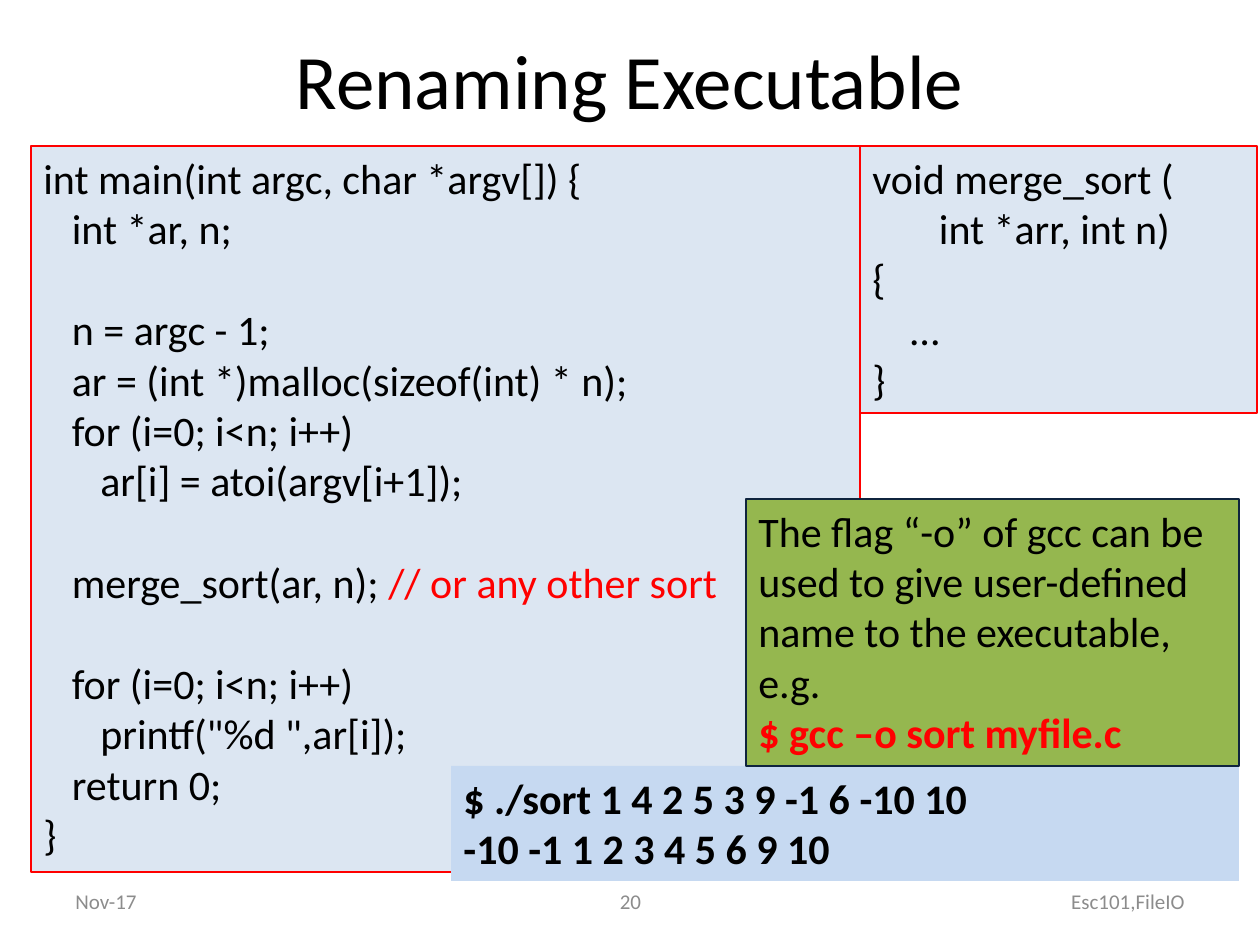
from dataclasses import dataclass

from pptx import Presentation, util as u
from pptx.dml.color import RGBColor
from pptx.enum import shapes, text

# Content: each line is a list of (text, colour role) runs
TITLE = "Renaming Executable"
MAIN_CODE = [
    [("int main(int argc, char *argv[]) {", "ink")],
    [("   int *ar, n;", "ink")],
    [],
    [("   n = argc - 1;", "ink")],
    [("   ar = (int *)malloc(sizeof(int) * n);", "ink")],
    [("   for (i=0; i<n; i++)", "ink")],
    [("      ar[i] = atoi(argv[i+1]);", "ink")],
    [],
    [("   merge_sort(ar, n); ", "ink"), ("// or any other sort", "red")],
    [],
    [("   for (i=0; i<n; i++)", "ink")],
    [('      printf("%d ",ar[i]);', "ink")],
    [("   return 0;", "ink")],
    [("}", "ink")],
]
SORT_CODE = [[(line, "ink")] for line in (
    "void merge_sort (", "       int *arr, int n)", "{", "    …", "}")]
FLAG_NOTE = [
    [("The flag “-o” of gcc can be used to give user-defined name "
      "to the executable, e.g.", "ink")],
    [("$ gcc –o sort myfile.c", "red")],
]
SORT_RUN = [[(line, "ink")] for line in (
    "$ ./sort 1 4 2 5 3 9 -1 6 -10 10", "-10 -1 1 2 3 4 5 6 9 10")]

# Panels, back to front: lines, (left, top, width, height), fill, outline, bold lines
PANELS = [
    (MAIN_CODE, (31, 146, 829, 726), "code", "red", ()),
    (SORT_RUN, (451, 766, 788, 115), "run", None, (0, 1)),
    (FLAG_NOTE, (746, 499, 493, 267), "note", "navy", (1,)),
    (SORT_CODE, (860, 146, 397, 267), "code", "red", ()),
]
FOOTERS = [
    ("Nov-17", (63, 876, 294, 50), text.PP_ALIGN.LEFT),
    ("20", (431, 876, 399, 50), text.PP_ALIGN.CENTER),
    ("Esc101,FileIO", (903, 876, 294, 50), text.PP_ALIGN.RIGHT),
]


@dataclass(frozen=True)
class Theme:
    ink: str = "000000"
    red: str = "FF0000"
    navy: str = "0F243E"
    grey: str = "8C8C8C"
    code: str = "DCE6F2"
    run: str = "C6D9F1"
    note: str = "95B74F"
    font: str = "Calibri"
    title_size: int = 44
    body_size: int = 24
    footer_size: int = 12
    code_gap: int = 29  # one empty code line, in points


THEME = Theme()
PX = u.Inches(1) / 126


def emu(box):
    return [round(length * PX) for length in box]


def colour(role):
    return RGBColor.from_string(getattr(THEME, role))


def style(font, size, role=None, bold=False):
    font.name, font.size, font.bold = THEME.font, u.Pt(size), bold
    if role:
        font.color.rgb = colour(role)


def add_panel(slide, lines, box, fill, outline, bold_lines):
    panel = slide.shapes.add_shape(shapes.MSO_SHAPE.RECTANGLE, *emu(box))
    panel.shadow.inherit = False
    panel.fill.solid()
    panel.fill.fore_color.rgb = colour(fill)
    if outline:
        panel.line.color.rgb = colour(outline)
        panel.line.width = u.Pt(0.75)
    else:
        panel.line.fill.background()

    frame = panel.text_frame
    frame.word_wrap = True
    frame.vertical_anchor = text.MSO_ANCHOR.TOP
    gap = False
    for index, runs in enumerate(lines):
        if not runs:
            gap = True
            continue
        line = frame.add_paragraph() if index else frame.paragraphs[0]
        line.alignment = text.PP_ALIGN.LEFT
        if gap:
            line.space_before = u.Pt(THEME.code_gap)
            gap = False
        style(line.font, THEME.body_size, bold=index in bold_lines)
        for words, role in runs:
            run = line.add_run()
            run.text = words
            run.font.color.rgb = colour(role)
            if index in bold_lines:
                run.font.bold = True


def add_footer(slide, words, box, alignment):
    frame = slide.shapes.add_textbox(*emu(box)).text_frame
    frame.word_wrap = True
    frame.vertical_anchor = text.MSO_ANCHOR.MIDDLE
    line = frame.paragraphs[0]
    line.text, line.alignment = words, alignment
    style(line.font, THEME.footer_size, "grey")


def main():
    deck = Presentation()
    deck.slide_width, deck.slide_height = u.Inches(10), u.Inches(7.5)
    slide = deck.slides.add_slide(deck.slide_layouts[5])

    # Title
    title = slide.shapes.title
    title.left, title.top, title.width, title.height = emu((63, 0, 1134, 158))
    title.text_frame.vertical_anchor = text.MSO_ANCHOR.MIDDLE
    heading = title.text_frame.paragraphs[0]
    heading.text, heading.alignment = TITLE, text.PP_ALIGN.CENTER
    style(heading.font, THEME.title_size, "ink")

    # Footer row, then the code and note panels
    for footer in FOOTERS:
        add_footer(slide, *footer)
    for panel in PANELS:
        add_panel(slide, *panel)

    deck.save("out.pptx")


if __name__ == "__main__":
    main()
